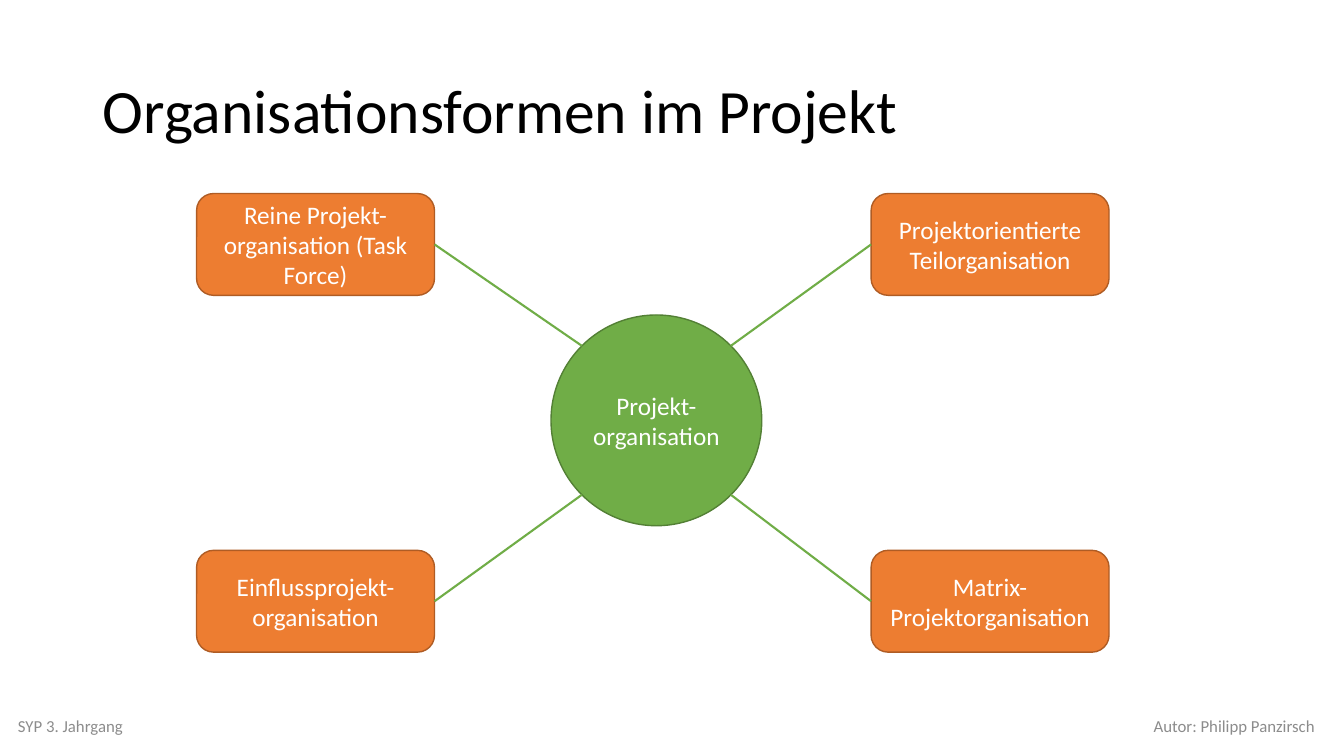
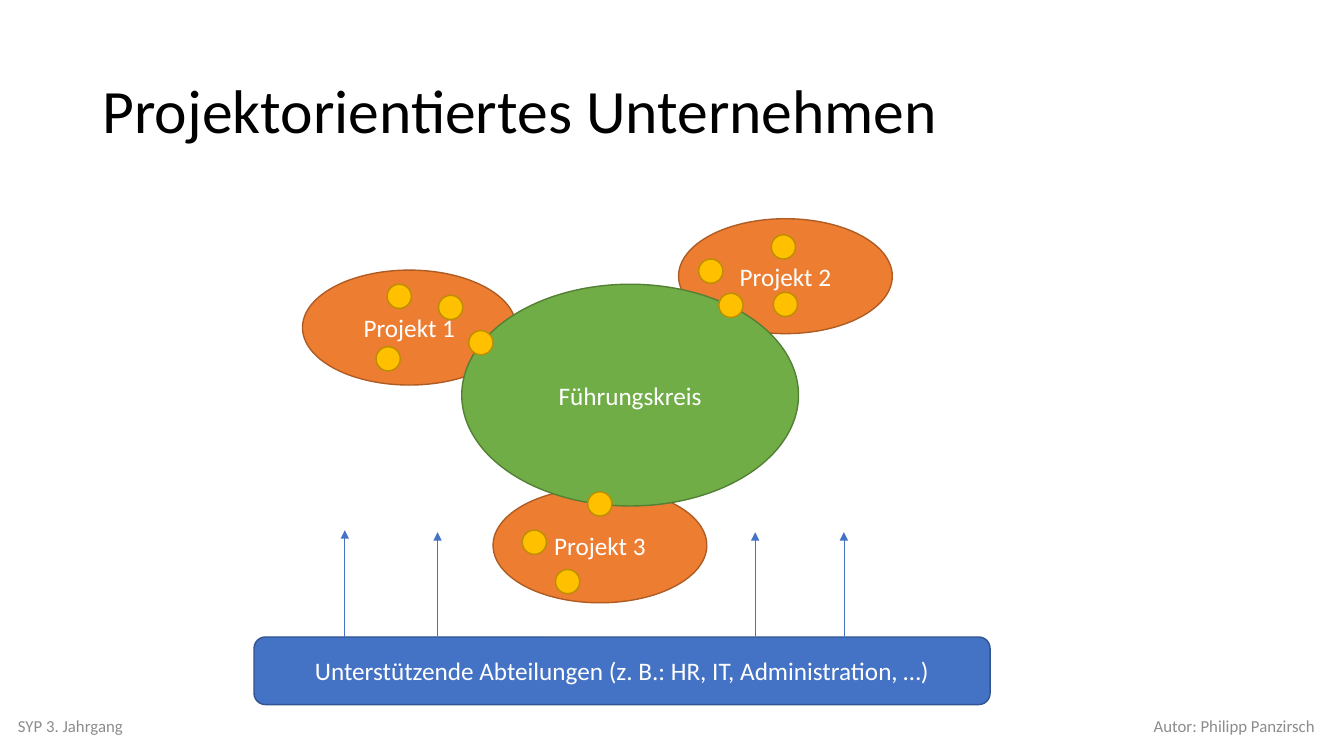
from math import sqrt
from pptx import Presentation
from pptx.dml.color import RGBColor
from pptx.enum.shapes import MSO_CONNECTOR as Connector, MSO_SHAPE as Shape
from pptx.enum.text import MSO_ANCHOR as Anchor, PP_ALIGN as Align
from pptx.oxml.ns import qn
from pptx.util import Inches, Pt
from lxml.etree import SubElement

# Shared style: colours are (fill, outline) pairs
BLACK = RGBColor(0x00, 0x00, 0x00)
WHITE = RGBColor(0xFF, 0xFF, 0xFF)
GREY = RGBColor(0x8C, 0x8C, 0x8C)
GREEN = RGBColor(0x70, 0xAD, 0x47), RGBColor(0x53, 0x80, 0x35)
ORANGE = RGBColor(0xED, 0x7D, 0x31), RGBColor(0xAF, 0x5C, 0x24)
YELLOW = RGBColor(0xFF, 0xC0, 0x00), RGBColor(0xBD, 0x8E, 0x00)
BLUE = RGBColor(0x44, 0x72, 0xC4), RGBColor(0x32, 0x54, 0x91)
NODE_TEXT = {"size": Pt(18), "color": WHITE, "align": Align.CENTER, "spacing": 1.0}
TITLE_TEXT = {"size": Pt(44), "color": BLACK, "align": Align.LEFT, "spacing": 0.9}
FOOTER_TEXT = {"size": Pt(12), "color": GREY, "align": Align.LEFT, "spacing": 1.0}
FRAME = [
    ((0.08, 7, 4.5, 0.4), "SYP 3. Jahrgang", FOOTER_TEXT),
    ((8.64, 7, 4.5, 0.4), "Autor: Philipp Panzirsch", {**FOOTER_TEXT, "align": Align.RIGHT}),
]
TITLES = ["Organisationsformen im Projekt", "Projektorientiertes Unternehmen"]


def add_item(page, place, text="", style=NODE_TEXT, kind=None, colours=None):
    """Add a text box, or a filled shape when a kind is given."""
    area = [Inches(length) for length in place]
    if kind is None:
        box = page.shapes.add_textbox(*area)
    else:
        box = page.shapes.add_shape(kind, *area)
        box.shadow.inherit = False
        box.fill.solid()
        box.fill.fore_color.rgb, box.line.color.rgb = colours
        box.line.width = Pt(1)
    if text:
        frame = box.text_frame
        frame.word_wrap = True
        frame.vertical_anchor = Anchor.MIDDLE
        para = frame.paragraphs[0]
        para.alignment, para.line_spacing = style["align"], style["spacing"]
        span = para.add_run()
        span.text = text
        for name, value in {"name": "Calibri", "size": style["size"]}.items():
            setattr(span.font, name, value)
        span.font.color.rgb = style["color"]


def add_line(page, start, end, colour, width, arrow=False):
    line = page.shapes.add_connector(
        Connector.STRAIGHT, *[Inches(length) for length in (*start, *end)])
    line.line.color.rgb = colour
    line.line.width = Pt(width)
    properties = line._element.spPr
    if arrow:
        SubElement(properties.find(qn("a:ln")), qn("a:tailEnd"), type="triangle")
    SubElement(properties, qn("a:effectLst"))


deck = Presentation()
deck.slide_width, deck.slide_height = Inches(13.33), Inches(7.5)

# Title and footers on every page
pages = []
for title in TITLES:
    page = deck.slides.add_slide(deck.slide_layouts[6])
    add_item(page, (0.92, 0.4, 11.5, 1.45), title, TITLE_TEXT)
    for place, text, style in FRAME:
        add_item(page, place, text, style)
    pages.append(page)
forms_page, company_page = pages

# Forms of organisation: a hub with one card at each corner
HUB_X, HUB_Y, HUB_SIZE = 6.51, 4.17, 2.09
CARD_WIDTH, CARD_HEIGHT = 2.36, 1.01
LEFT, RIGHT, TOP, BOTTOM = 1.95, 8.64, 1.92, 5.46
reach = HUB_SIZE / 2 / sqrt(2)
add_item(forms_page, (HUB_X - HUB_SIZE / 2, HUB_Y - HUB_SIZE / 2, HUB_SIZE, HUB_SIZE),
         "Projekt-organisation", kind=Shape.OVAL, colours=GREEN)
cards = [
    (LEFT, TOP, "Reine Projekt-organisation (Task Force)"),
    (LEFT, BOTTOM, "Einflussprojekt-organisation"),
    (RIGHT, BOTTOM, "Matrix-Projektorganisation"),
    (RIGHT, TOP, "Projektorientierte Teilorganisation"),
]
for left, top, text in cards:
    add_item(forms_page, (left, top, CARD_WIDTH, CARD_HEIGHT), text,
             kind=Shape.ROUNDED_RECTANGLE, colours=ORANGE)
    side = -1 if left == LEFT else 1
    level = -1 if top == TOP else 1
    card_edge = left + CARD_WIDTH if left == LEFT else left
    add_line(forms_page, (HUB_X + side * reach, HUB_Y + level * reach),
             (card_edge, top + CARD_HEIGHT / 2), GREEN[0], 1.5)

# Project-oriented company: projects behind the leadership circle
projects = [
    (6.73, 2.17, "Projekt 2"),
    (4.89, 4.84, "Projekt 3"),
    (3, 2.68, "Projekt 1"),
]
for left, top, text in projects:
    add_item(company_page, (left, top, 2.12, 1.14), text, kind=Shape.OVAL, colours=ORANGE)
add_item(company_page, (4.58, 2.82, 3.34, 2.2), "Führungskreis",
         kind=Shape.OVAL, colours=GREEN)

# Team members, by project 1 to 3
members = [
    (3.84, 2.82), (4.35, 2.93), (3.73, 3.44), (4.65, 3.28),
    (7.13, 2.91), (6.93, 2.57), (7.67, 2.9), (7.65, 2.33),
    (5.83, 4.88), (5.18, 5.26), (5.51, 5.65),
]
for left, top in members:
    add_item(company_page, (left, top, 0.24, 0.24), kind=Shape.OVAL, colours=YELLOW)

# Supporting departments with upward arrows
add_item(company_page, (2.52, 6.32, 7.3, 0.67),
         "Unterstützende Abteilungen (z. B.: HR, IT, Administration, …)",
         kind=Shape.ROUNDED_RECTANGLE, colours=BLUE)
for x, foot in [(3.42, 6.32), (4.34, 6.34), (7.49, 6.34), (8.37, 6.34)]:
    add_line(company_page, (x, foot), (x, foot - 1.06), BLUE[0], 0.5, arrow=True)

deck.save("out.pptx")
